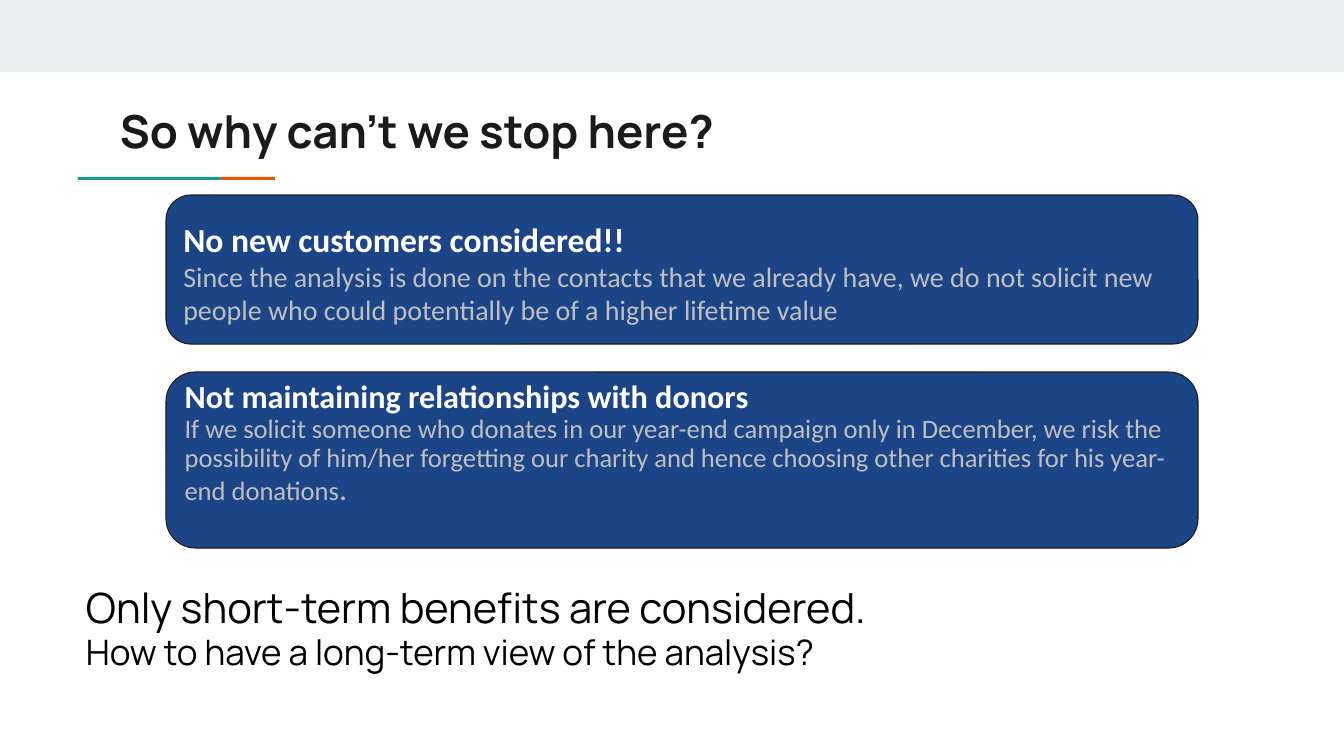
from pptx import Presentation
from pptx.dml.color import RGBColor
from pptx.enum.shapes import MSO_SHAPE
from pptx.enum.text import MSO_ANCHOR, PP_ALIGN
from pptx.util import Emu, Pt

RECT = MSO_SHAPE.RECTANGLE
ROUND = MSO_SHAPE.ROUNDED_RECTANGLE
TOP = MSO_ANCHOR.TOP
MIDDLE = MSO_ANCHOR.MIDDLE
LEFT = PP_ALIGN.LEFT

COLORS = {
    "band": "E9EDEE",
    "teal": "1A9988",
    "orange": "EB5600",
    "navy": "1C4587",
    "ink": "1A1A1A",
    "black": "000000",
    "white": "FFFFFF",
    "grey": "BFBFBF",
}
SANS = "Manrope"
CARD = "Calibri"


def color(name):
    return RGBColor.from_string(COLORS[name])


def px(value):
    return Emu(round(value * 914400 / 100.8))


def write(para, text, size=20, font=CARD, tint="white", bold=False, space=1.0):
    para.alignment = LEFT
    para.line_spacing = space
    run = para.add_run()
    run.text = text
    run.font.size = Pt(size)
    run.font.name = font
    run.font.bold = bold
    run.font.color.rgb = color(tint)


class Board:
    def __init__(self, deck):
        self.slide = deck.slides.add_slide(deck.slide_layouts[6])

    def fill(self, frame, lines, inset, top, anchor):
        frame.word_wrap = True
        frame.vertical_anchor = anchor
        frame.margin_left = frame.margin_right = frame.margin_bottom = px(inset)
        frame.margin_top = px(top)
        for i, runs in enumerate(lines):
            para = frame.add_paragraph() if i else frame.paragraphs[0]
            for text, style in runs:
                write(para, text, **style)

    def shape(self, kind, box, fill, line=None):
        item = self.slide.shapes.add_shape(kind, *map(px, box))
        item.shadow.inherit = False
        item.fill.solid()
        item.fill.fore_color.rgb = color(fill)
        if line:
            item.line.color.rgb = color(line)
            item.line.width = Pt(0.75)
        else:
            item.line.fill.background()
        return item

    def card(self, box, lines, top=10, anchor=MIDDLE):
        item = self.shape(ROUND, box, "navy", "ink")
        item.adjustments[0] = 0.167
        self.fill(item.text_frame, lines, 10, top, anchor)

    def text(self, box, lines):
        item = self.slide.shapes.add_textbox(*map(px, box))
        self.fill(item.text_frame, lines, 13, 13, TOP)


def main():
    deck = Presentation()
    deck.slide_width, deck.slide_height = px(1344), px(756)
    board = Board(deck)

    board.shape(RECT, (0, 0, 1344, 72), "band")
    board.shape(RECT, (78, 177, 143, 3), "teal")
    board.shape(RECT, (221, 177, 54, 3), "orange")

    title = dict(size=32.5, font=SANS, tint="ink", bold=True)
    board.text((107, 90, 1130, 80), [[("So why can’t we stop here?", title)]])

    board.card((166, 195, 1032, 149), [
        [("No new customers considered!!", dict(size=24, bold=True, space=1.15))],
        [("Since the analysis is done on the contacts that we already have, "
          "we do not solicit new people who could potentially be of a higher "
          "lifetime value", dict(tint="grey"))],
    ])
    small = dict(size=19, tint="grey", space=0.9)
    board.card((166, 372, 1032, 176), [
        [("Not maintaining relationships with donors",
          dict(size=23, bold=True, space=0.9))],
        [("If we solicit someone who donates in our year-end campaign only in "
          "December, we risk the possibility of him/her forgetting our charity "
          "and hence choosing other charities for his year-end donations", small),
         (".", {**small, "size": 23})],
    ], top=0, anchor=TOP)

    plain = dict(font=SANS, tint="black", space=0.95)
    board.text((73, 573, 1130, 162), [
        [("Only short-term benefits are considered.", {**plain, "size": 29.7})],
        [("How to have a long-term view of the analysis?", {**plain, "size": 25})],
    ])
    deck.save("out.pptx")


if __name__ == "__main__":
    main()
